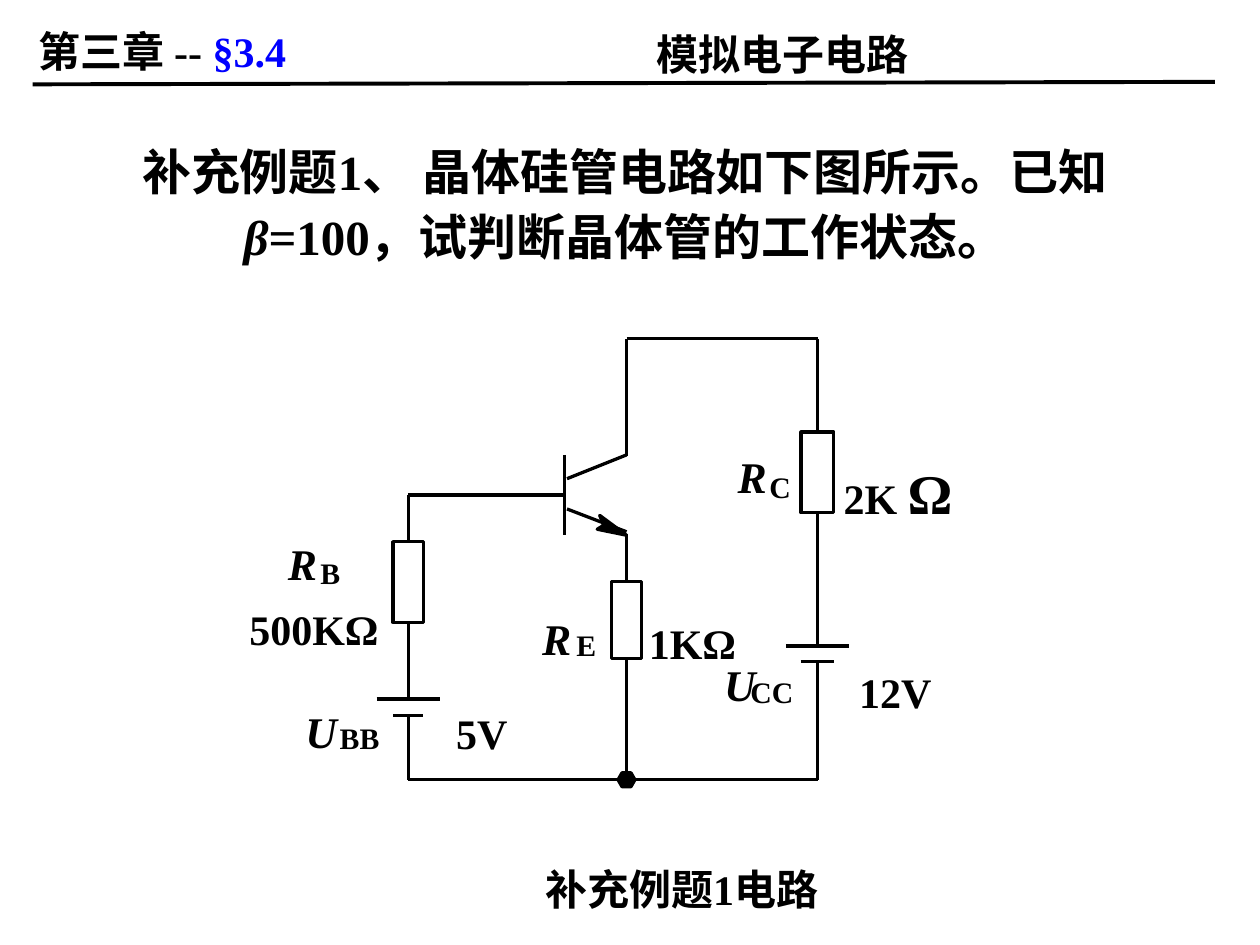
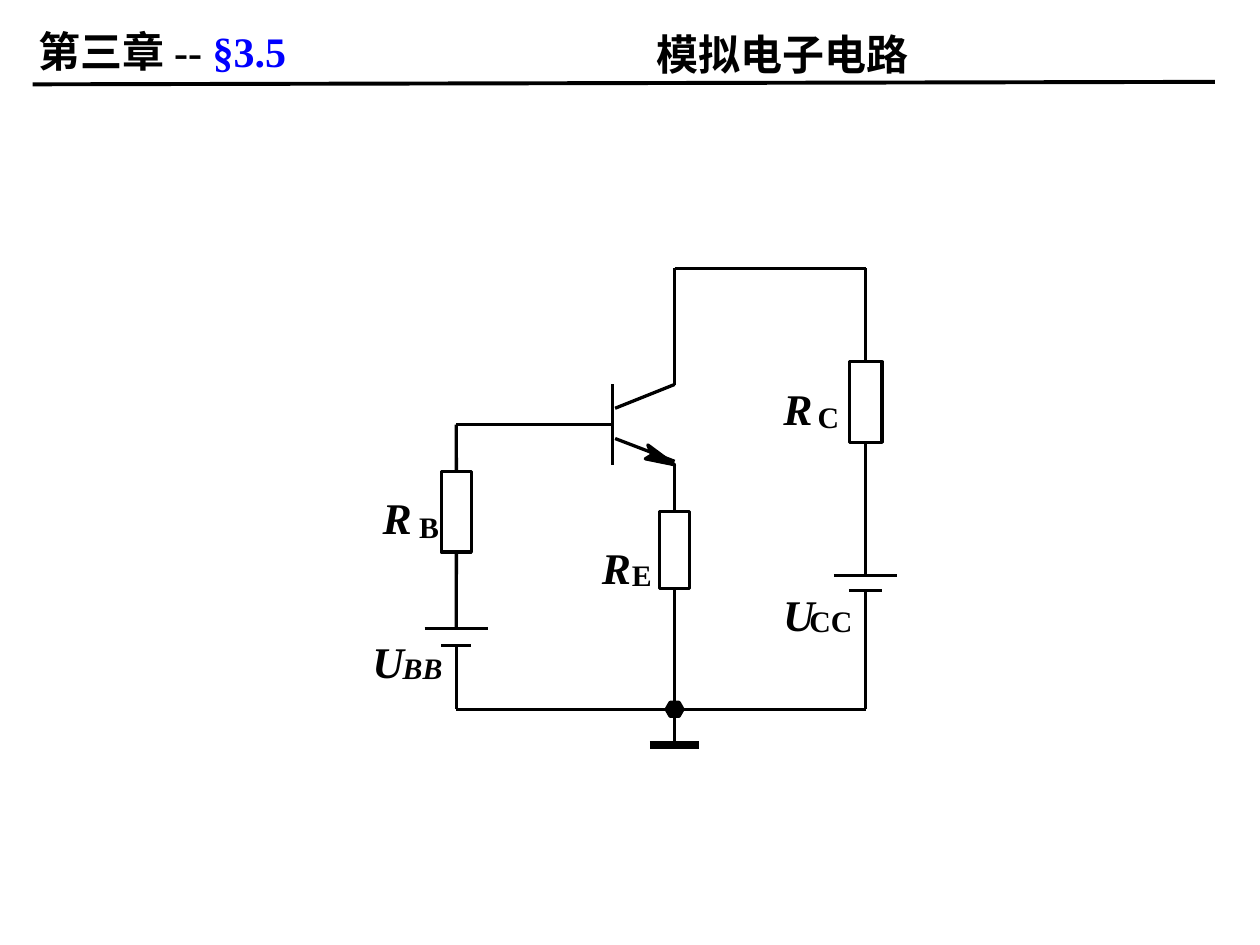
import pptx
import pptx.dml.color
import pptx.enum.shapes
import pptx.enum.text
import pptx.oxml.ns
import pptx.util
from lxml import etree

Cm, Pt = pptx.util.Cm, pptx.util.Pt
RGB = pptx.dml.color.RGBColor
BLACK = RGB(0, 0, 0)
WHITE = RGB(255, 255, 255)
BLUE = RGB(0, 0, 255)
SERIF = "Times New Roman"
SANS = "Noto Sans CJK SC"
LEFT = pptx.enum.text.PP_ALIGN.LEFT
MID = pptx.enum.text.PP_ALIGN.CENTER
WIRE = 1.87
SLACK = 0.15  # room on each side of a centred label, so it stays on one line

# Circuit grid, in cm from its top left corner
BASE, EMIT, COLL = 0, 4.4, 8.25
BAR, FOOT = 3.15, 8.89


def add_text(slide, x, y, w, h, runs, space=1.3, align=MID, inset=True, wrap=False):
    """Each run is (text, size, font, colour, italic)."""
    if align == MID and not wrap:
        x, w = x - SLACK, w + 2 * SLACK
    box = slide.shapes.add_textbox(Cm(x), Cm(y), Cm(w), Cm(h))
    frame = box.text_frame
    frame.word_wrap = wrap
    if not wrap:
        frame.auto_size = pptx.enum.text.MSO_AUTO_SIZE.SHAPE_TO_FIT_TEXT
    if not inset:
        frame.margin_left = frame.margin_right = 0
        frame.margin_top = frame.margin_bottom = 0
    para = frame.paragraphs[0]
    para.alignment = align
    para.line_spacing = space
    for text, size, name, color, slant in runs:
        run = para.add_run()
        run.text = text
        font = run.font
        font.size, font.name = Pt(size), name
        font.bold, font.italic = True, slant
        font.color.rgb = color
        east = etree.SubElement(run._r.get_or_add_rPr(), pptx.oxml.ns.qn("a:ea"))
        east.set("typeface", SANS)


def plain(text, size=24, name=SERIF, color=BLACK, slant=False):
    return text, size, name, color, slant


def add_line(slide, x1, y1, x2, y2, width=WIRE):
    kind = pptx.enum.shapes.MSO_CONNECTOR.STRAIGHT
    line = slide.shapes.add_connector(kind, Cm(x1), Cm(y1), Cm(x2), Cm(y2))
    line.line.color.rgb = BLACK
    line.line.width = Pt(width)
    props = line._element.spPr
    etree.SubElement(props, pptx.oxml.ns.qn("a:effectLst"))
    return line


def paint(shape, fill):
    shape.shadow.inherit = False
    shape.fill.solid()
    shape.fill.fore_color.rgb = fill
    shape.line.color.rgb = BLACK
    shape.line.width = Pt(WIRE)


def add_blob(slide, x, y, points):
    spots = [(Cm(x + a), Cm(y + b)) for a, b in points]
    pen = slide.shapes.build_freeform(*spots[0])
    pen.add_line_segments(spots[1:], close=True)
    paint(pen.convert_to_shape(), BLACK)


def add_header(slide, part):
    add_line(slide, 0.66, 1.7, 24.49, 1.65, 2.25)
    add_text(slide, 12.98, 0.25, 5.59, 1.47, [plain("模拟电子电路", name=SANS)],
             1.2, LEFT)
    add_text(slide, 0.53, 0.18, 6.22, 1.47,
             [plain("第三章 ", name=SANS), plain("-- "), plain(part, color=BLUE)],
             1.2, LEFT)


def add_load(slide, x, start, top, w, h, end):
    """Resistor centred on x, wired up to start and down to end."""
    kind = pptx.enum.shapes.MSO_SHAPE.RECTANGLE
    rect = slide.shapes.add_shape(kind, Cm(x - w / 2), Cm(top), Cm(w), Cm(h))
    paint(rect, WHITE)
    add_line(slide, x, start, x, top).end_connect(rect, 0)
    add_line(slide, x, top + h, x, end).begin_connect(rect, 2)


def add_cell(slide, x, top, gap, long, short, end):
    """Battery plates centred on x, wired down to end."""
    add_line(slide, x - long, top, x + long, top)
    add_line(slide, x - short, top + gap, x + short, top + gap)
    add_line(slide, x, top + gap, x, end)


def add_circuit(slide, x, y, marks):
    base, emit, coll, bar = (x + c for c in (BASE, EMIT, COLL, BAR))
    foot = y + FOOT
    # Wires
    add_line(slide, emit, y, emit, y + 2.36)
    add_line(slide, emit, y, coll, y)
    add_line(slide, base, y + 3.15, bar, y + 3.15)
    add_line(slide, base, foot, coll, foot)
    # Transistor
    add_line(slide, bar, y + 2.34, bar, y + 3.96)
    add_line(slide, bar + 0.05, y + 2.82, emit, y + 2.34)
    add_line(slide, bar + 0.05, y + 3.43, emit, y + 3.89)
    add_blob(slide, emit, y + 3.96,
             [(-0.59, -0.12), (-0.46, -0.2), (-0.54, -0.4), (0, 0)])
    # Resistors, batteries and node
    add_load(slide, base, y + 3.15, y + 4.09, 0.61, 1.63, y + 7.26)
    add_load(slide, emit, y + 3.94, y + 4.9, 0.61, 1.55, foot)
    add_load(slide, coll, y, y + 1.88, 0.66, 1.63, y + 6.19)
    add_cell(slide, base, y + 7.26, 0.34, 0.64, 0.3, foot)
    add_cell(slide, coll, y + 6.19, 0.31, 0.64, 0.34, foot)
    add_blob(slide, emit, foot, [(-0.17, 0), (-0.09, -0.14), (0.09, -0.14),
                                 (0.17, 0), (0.09, 0.14), (-0.09, 0.14)])
    # Symbols with subscripts
    for sign, sub, left, top, dx, dy, slant in marks:
        add_text(slide, x + left, y + top, 0.61, 1.37,
                 [plain(sign, 25, slant=True)], inset=False)
        add_text(slide, x + left + dx, y + top + dy, 0.42 * len(sub), 0.94,
                 [plain(sub, 17, slant=slant)], inset=False)


def add_values(slide, x, y):
    for text, left, top, w in (("500KΩ", -3.45, 4.9, 3.1), ("1KΩ", 4.6, 5.18, 2.26),
                               ("5V", 0.71, 7.01, 1.55), ("12V", 8.84, 6.17, 1.96)):
        add_text(slide, x + left, y + top, w, 1.57, [plain(text)])
    add_text(slide, x + 8.53, y + 1.88, 2.69, 2.03, [plain("2K "), plain("Ω", 32)])


def add_ground(slide, x, y):
    add_line(slide, x, y, x, y + 0.71)
    add_line(slide, x - 0.5, y + 0.71, x + 0.5, y + 0.71, 4.5)


def example(slide):
    add_header(slide, "§3.4")
    add_text(slide, 1.8, 2.62, 21.59, 3.02,
             [plain("补充例题1、 晶体硅管电路如下图所示。已知", 28),
              plain("β", 28, slant=True),
              plain("=100，试判断晶体管的工作状态。", 28)], 1.1, wrap=True)
    x, y = 8.23, 6.83
    add_circuit(slide, x, y, [
        ("R", "B", -2.44, 3.68, 0.66, 0.46, False),
        ("U", "BB", -2.06, 7.06, 0.66, 0.41, False),
        ("R", "E", 2.69, 5.18, 0.69, 0.41, False),
        ("R", "C", 6.63, 1.93, 0.66, 0.48, False),
        ("U", "CC", 6.38, 6.12, 0.53, 0.41, False)])
    add_values(slide, x, y)
    add_text(slide, 10.54, 16.97, 6.4, 1.57, [plain("补充例题1电路")])


def general(slide):
    add_header(slide, "§3.5")
    x, y = 9.2, 5.41
    add_circuit(slide, x, y, [
        ("R", "B", -1.5, 4.17, 0.74, 0.46, False),
        ("U", "BB", -1.68, 7.06, 0.58, 0.41, True),
        ("R", "E", 2.92, 5.18, 0.61, 0.41, False),
        ("R", "C", 6.58, 1.96, 0.71, 0.46, False),
        ("U", "CC", 6.6, 6.12, 0.53, 0.41, False)])
    add_ground(slide, x + EMIT, y + FOOT)


def main():
    deck = pptx.Presentation()
    deck.slide_width, deck.slide_height = Cm(25.4), Cm(19.05)
    for build in (example, general):
        build(deck.slides.add_slide(deck.slide_layouts[6]))
    deck.save("out.pptx")


if __name__ == "__main__":
    main()
